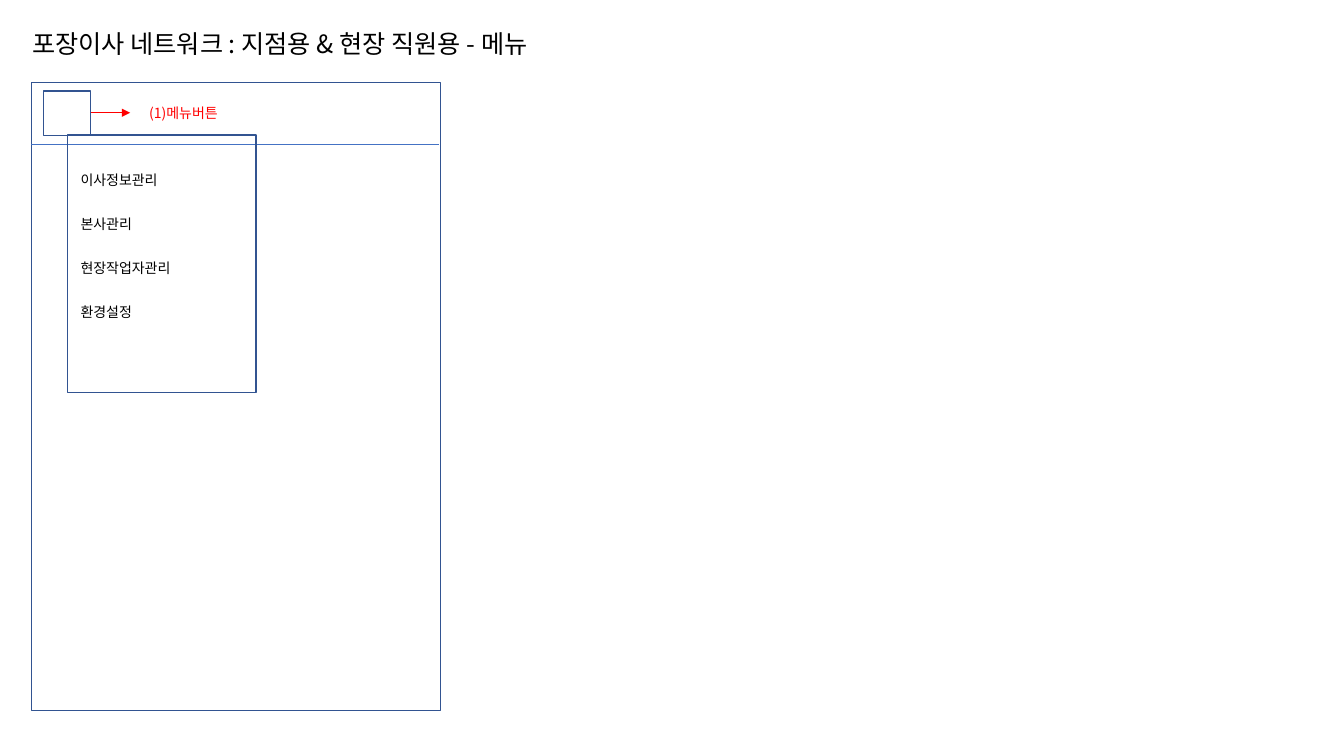
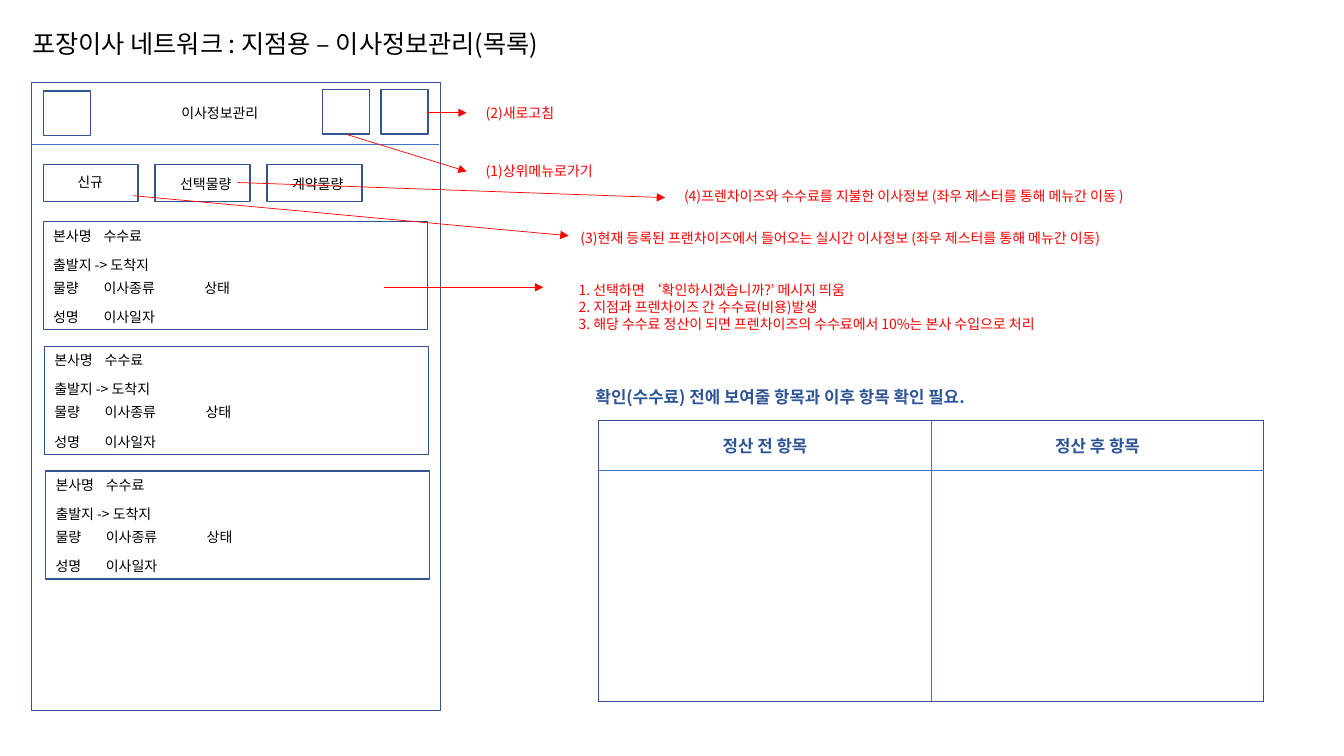
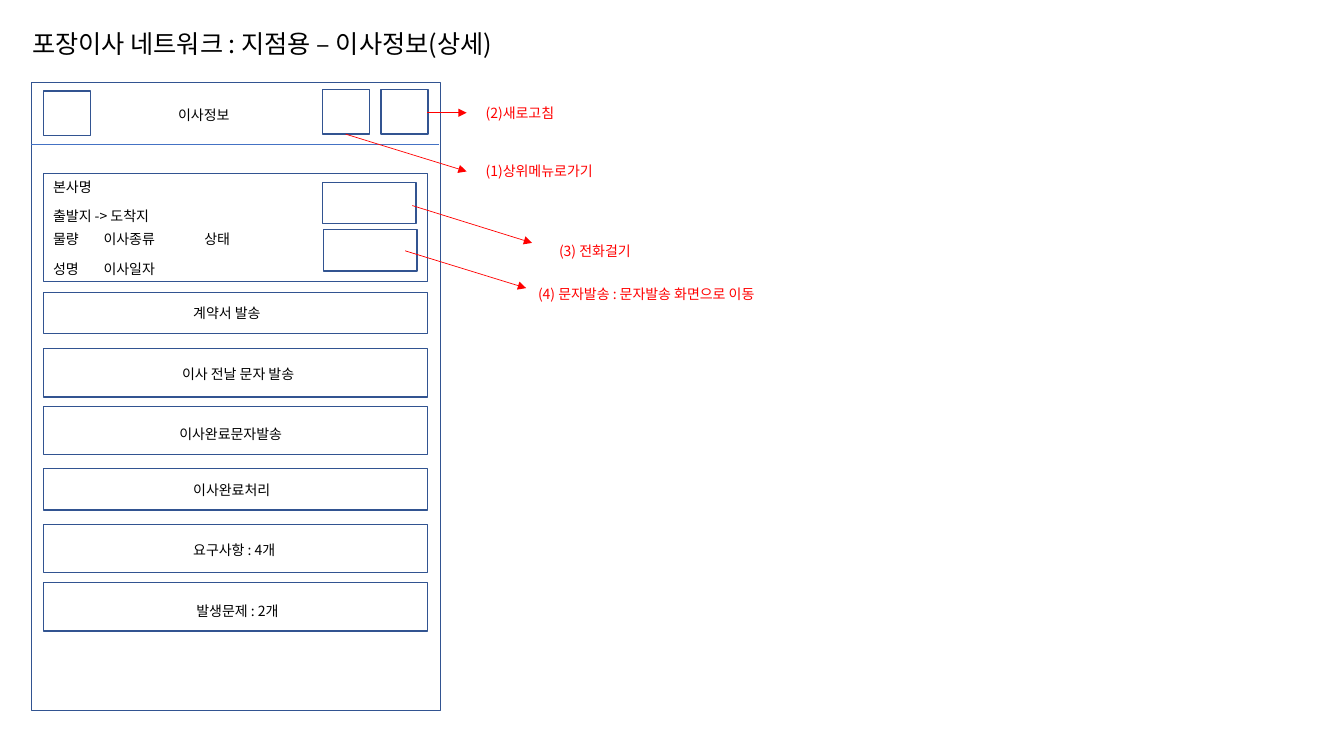
from lxml.etree import SubElement
from pptx import Presentation
from pptx.dml.color import RGBColor
from pptx.enum.shapes import MSO_CONNECTOR as Connector, MSO_SHAPE as Preset
from pptx.enum.text import MSO_ANCHOR as Anchor, MSO_AUTO_SIZE as AutoSize, PP_ALIGN as Align
from pptx.oxml.ns import qn
from pptx.util import Cm, Pt

COLORS = {"ink": "000000", "frame": "325491", "rule": "4472C4",
          "note": "FF0000", "heading": "2F5597"}
FONT = "Noto Sans CJK KR"
LINE_PITCH = 12.1
CARD_SIZE = (9.68, 2.72)
CARD_LEFT = 1.09
TITLE_AND_LIST, TITLE_ONLY = 1, 5


def color(name):
    """Look up a palette colour."""
    return RGBColor.from_string(COLORS[name])


def write(box, words, size=10, ink="ink", bold=False, align=Align.LEFT,
          anchor=Anchor.MIDDLE, pitch=None, gap=0, tab_stops=()):
    """Fill a box with one paragraph per line of words, formatted alike."""
    frame = box.text_frame
    frame.word_wrap = True
    frame.auto_size = AutoSize.NONE
    frame.vertical_anchor = anchor
    frame.margin_left = Cm(0.25)
    frame.margin_right = frame.margin_top = frame.margin_bottom = 0
    frame.text = words
    for para in frame.paragraphs:
        para.alignment = align
        para.space_before, para.space_after = Pt(0), Pt(gap)
        para.line_spacing = Pt(pitch) if pitch else 1.0
        layout = para._p.get_or_add_pPr()
        layout.set("marL", "0")
        layout.set("indent", "0")
        SubElement(layout, qn("a:buNone"))
        if tab_stops:
            stops = SubElement(layout, qn("a:tabLst"))
            for stop in tab_stops:
                SubElement(stops, qn("a:tab"), pos=str(Cm(stop)), algn="l")
        for span in para.runs:
            span.font.name, span.font.size, span.font.bold = FONT, Pt(size), bold
            span.font.color.rgb = color(ink)
            SubElement(span._r.get_or_add_rPr(), qn("a:ea"), typeface=FONT)


def place(box, left, top, width, height):
    """Move and size a placeholder."""
    box.left, box.top, box.width, box.height = map(Cm, (left, top, width, height))


def add_text(page, words, left, top, width, height=0.69, **style):
    """Add a text box."""
    box = page.shapes.add_textbox(Cm(left), Cm(top), Cm(width), Cm(height))
    write(box, words, **style)


def add_note(page, words, left, top, width):
    """Add a red annotation."""
    add_text(page, words, left, top, width, ink="note")


def add_frame(page, left, top, width, height):
    """Add an unfilled outlined rectangle."""
    box = page.shapes.add_shape(Preset.RECTANGLE, Cm(left), Cm(top), Cm(width), Cm(height))
    box.shadow.inherit = False
    box.fill.background()
    box.line.color.rgb = color("frame")
    box.line.width = Pt(1)


def add_line(page, start, end, ink="rule", arrow=False):
    """Add a thin straight line, with an arrowhead at its end on request."""
    line = page.shapes.add_connector(Connector.STRAIGHT, *map(Cm, start + end))
    line.line.color.rgb = color(ink)
    line.line.width = Pt(0.5)
    properties = line.element.spPr
    if arrow:
        SubElement(properties.find(qn("a:ln")), qn("a:tailEnd"), type="triangle")
    SubElement(properties, qn("a:effectLst"))


def add_arrow(page, start, end):
    """Add a red arrow to an annotation."""
    add_line(page, start, end, "note", arrow=True)


def fill_list(page, lines, left, top, width, height, **style):
    """Put a list in the body placeholder."""
    body = page.placeholders[1]
    place(body, left, top, width, height)
    write(body, "\n".join(lines), anchor=Anchor.TOP, pitch=LINE_PITCH, **style)


def add_page(deck, layout, title):
    """Start a slide with its title, phone screen and menu button."""
    page = deck.slides.add_slide(deck.slide_layouts[layout])
    place(page.shapes.title, 0.56, 0.58, 14.81, 1.02)
    write(page.shapes.title, title, size=18)
    add_frame(page, 0.79, 2.08, 10.31, 15.82)
    add_line(page, (0.79, 3.63), (11.07, 3.63))
    add_frame(page, 1.09, 2.29, 1.19, 1.12)
    return page


def add_toolbar(page):
    """Add the two buttons on the right of the screen header and their notes."""
    for left in (8.13, 9.6):
        add_frame(page, left, 2.26, 1.19, 1.12)
    add_arrow(page, (10.77, 2.84), (11.76, 2.84))
    add_note(page, "(2)새로고침", 11.99, 2.51, 2.34)
    add_arrow(page, (8.71, 3.38), (11.76, 4.32))
    add_note(page, "(1)상위메뉴로가기", 11.99, 3.96, 3.4)


def add_card(page, left, top, heading):
    """Add a card that sums up one move."""
    add_frame(page, left, top, *CARD_SIZE)
    rows = [(0, heading, (2.95,)),
            (0.73, "출발지 -> 도착지", ()),
            (1.31, "물량\t이사종류\t상태", (1.23, 3.02)),
            (2.05, "성명\t이사일자", (1.34,))]
    for offset, words, tab_stops in rows:
        add_text(page, words, left, top + offset, 5.16, tab_stops=tab_stops)


def set_borders(cell, edges):
    """Draw the four cell borders, given as (colour, points) by edge letter."""
    properties = cell._tc.get_or_add_tcPr()
    for index, edge in enumerate("LRTB"):
        ink, points = edges[edge]
        line = SubElement(properties, qn("a:ln" + edge), w=str(Pt(points)))
        fill = SubElement(line, qn("a:solidFill"))
        SubElement(fill, qn("a:srgbClr"), val=COLORS[ink])
        properties.insert(index, line)


def add_settlement_table(page, headings):
    """Add the table of items before and after settlement."""
    row_heights = (1.27, 5.82)
    graphic = page.shapes.add_table(2, 2, Cm(15.09), Cm(10.59), Cm(16.76), Cm(sum(row_heights)))
    table = graphic.table
    table.first_row = table.horz_banding = False
    outer, inner = ("frame", 1), ("rule", 0.5)
    for row, height in enumerate(row_heights):
        table.rows[row].height = Cm(height)
        for column, heading in enumerate(headings):
            cell = table.cell(row, column)
            cell.fill.background()
            set_borders(cell, {"L": inner if column else outer,
                               "R": outer if column else inner,
                               "T": inner if row else outer,
                               "B": outer if row else inner})
            if row == 0:
                cell.vertical_anchor = Anchor.MIDDLE
                cell.text = heading
                para = cell.text_frame.paragraphs[0]
                para.alignment = Align.CENTER
                span = para.runs[0]
                span.font.name, span.font.size, span.font.bold = FONT, Pt(12), True
                span.font.color.rgb = color("heading")
                SubElement(span._r.get_or_add_rPr(), qn("a:ea"), typeface=FONT)


def build_menu(deck):
    """Build the menu slide."""
    page = add_page(deck, TITLE_AND_LIST, "포장이사 네트워크 : 지점용 & 현장 직원용 - 메뉴")
    add_arrow(page, (2.29, 2.84), (3.28, 2.84))
    add_note(page, "(1)메뉴버튼", 3.51, 2.51, 2.34)
    add_frame(page, 1.7, 3.4, 4.75, 6.5)
    fill_list(page, ["이사정보관리", "본사관리", "현장작업자관리", "환경설정"],
              1.78, 4.32, 3, 4, gap=19.4)


def build_move_list(deck):
    """Build the slide with the list of moves."""
    page = add_page(deck, TITLE_AND_LIST, "포장이사 네트워크 : 지점용 – 이사정보관리(목록)")
    add_text(page, "이사정보관리", 4.32, 2.51, 2.64)
    add_toolbar(page)
    for index in range(3):
        add_frame(page, 1.09 + 2.82 * index, 4.14, 2.39, 0.94)
        add_card(page, CARD_LEFT + 0.03 * index, 5.59 + 3.14 * index, "본사명\t수수료")
    add_text(page, "신규", 1.7, 4.24, 1.22)
    add_text(page, "선택물량", 4.29, 4.29, 1.93)
    add_text(page, "계약물량", 7.11, 4.29, 1.93)

    add_arrow(page, (3.35, 4.93), (14.33, 5.94))
    add_note(page, "(3)현재 등록된 프랜차이즈에서 들어오는 실시간 이사정보 "
             "(좌우 제스터를 통해 메뉴간 이동)", 14.38, 5.64, 15.21)
    add_arrow(page, (5.99, 4.6), (16.76, 4.98))
    add_note(page, "(4)프렌차이즈와 수수료를 지불한 이사정보 "
             "(좌우 제스터를 통해 메뉴간 이동 )", 16.99, 4.6, 12.95)
    add_arrow(page, (9.68, 7.24), (13.69, 7.24))
    fill_list(page, ["1. 선택하면 ‘확인하시겠습니까?’ 메시지 띄움",
                     "2. 지점과 프렌차이즈 간 수수료(비용)발생",
                     "3. 해당 수수료 정산이 되면 프렌차이즈의 수수료에서 10%는 본사 수입으로 처리"],
              14.33, 7.09, 13.41, 1.3, ink="note")

    add_text(page, "확인(수수료) 전에 보여줄 항목과 이후 항목 확인 필요.",
             14.76, 9.63, 11.13, 0.76, size=12, ink="heading", bold=True)
    add_settlement_table(page, ["정산 전 항목", "정산 후 항목"])


def build_move_detail(deck):
    """Build the slide with the detail of one move."""
    page = add_page(deck, TITLE_ONLY, "포장이사 네트워크 : 지점용 – 이사정보(상세)")
    add_text(page, "이사정보", 4.24, 2.54, 1.93)
    add_toolbar(page)
    add_card(page, CARD_LEFT, 4.37, "본사명")
    for left, top in ((8.13, 4.6), (8.15, 5.79)):
        add_frame(page, left, top, 2.36, 1.04)
    add_arrow(page, (10.39, 5.18), (13.41, 6.12))
    add_note(page, "(3) 전화걸기", 13.84, 5.97, 2.46)
    add_arrow(page, (10.21, 6.32), (13.26, 7.26))
    add_note(page, "(4) 문자발송 : 문자발송 화면으로 이동", 13.31, 7.06, 6.6)

    actions = [(7.37, 1.04, "계약서 발송", 4.62, 7.54),
               (8.79, 1.22, "이사 전날 문자 발송", 4.34, 9.09),
               (10.24, 1.22, "이사완료문자발송", 4.27, 10.59),
               (11.81, 1.04, "이사완료처리", 4.62, 11.99),
               (13.21, 1.22, "요구사항 : 4개", 4.62, 13.51),
               (14.68, 1.22, "발생문제 : 2개", 4.7, 15.04)]
    for top, height, label, label_left, label_top in actions:
        add_frame(page, CARD_LEFT, top, CARD_SIZE[0], height)
        add_text(page, label, label_left, label_top, 3.73)


def main():
    """Build and save the deck."""
    deck = Presentation()
    deck.slide_width, deck.slide_height = Cm(33.87), Cm(19.05)
    build_menu(deck)
    build_move_list(deck)
    build_move_detail(deck)
    deck.save("out.pptx")


main()
